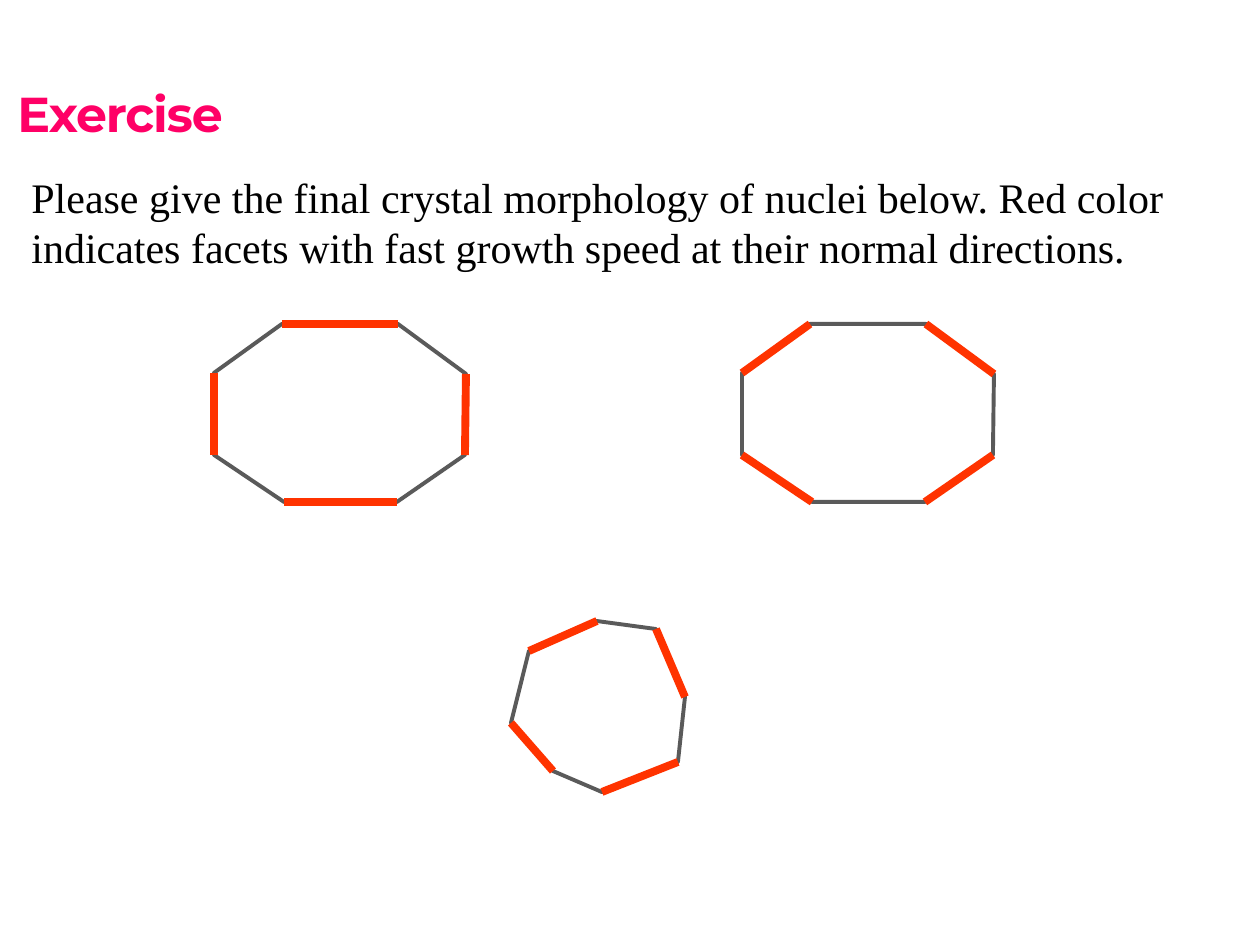
from pptx import Presentation
from pptx.dml.color import RGBColor
from pptx.enum.shapes import MSO_CONNECTOR as CONN
from pptx.enum.text import MSO_ANCHOR as ANCHOR
from pptx.oxml.ns import qn
from pptx.util import Pt
from lxml.etree import SubElement

PX = 914400 / 126
PINK = RGBColor(0xFF, 0x00, 0x66)
BLACK = RGBColor(0x00, 0x00, 0x00)
GREY = RGBColor(0x5A, 0x5A, 0x5A)
RED = RGBColor(0xFF, 0x33, 0x00)

OCTAGON = [(68, 0), (184, 0), (252, 50), (251, 131),
           (183, 178), (70, 178), (0, 131), (0, 49)]
IRREGULAR = [(18, 30), (86, 0), (145, 8), (174, 76),
             (167, 141), (91, 171), (42, 150), (0, 102)]


def px(n):
    """Turn pixels into EMU."""
    return round(n * PX)


def add_text(s, box, text, font, size, color, anchor=ANCHOR.TOP):
    """Place one wrapped paragraph in a box and return it."""
    tf = s.shapes.add_textbox(*map(px, box)).text_frame
    tf.word_wrap = True
    tf.vertical_anchor = anchor
    p = tf.paragraphs[0]
    p.text = text
    p.font.name = font
    p.font.size = Pt(size)
    p.font.color.rgb = color
    return p


def add_title(s, box, text):
    """Place the bold, slightly tightened slide title."""
    p = add_text(s, box, text, "Montserrat", 28, PINK, ANCHOR.BOTTOM)
    p.font.bold = True
    p.runs[0].font._element.set("spc", "-60")


def add_nucleus(shapes, left, top, corners, first_fast):
    """Draw a nucleus outline and mark every second facet as fast growing."""
    builder = shapes.build_freeform(*corners[0], scale=PX)
    builder.add_line_segments(corners[1:], close=True)
    sp = builder.convert_to_shape(px(left), px(top))
    sp.shadow.inherit = False
    sp.fill.background()
    sp.line.color.rgb = GREY
    sp.line.width = Pt(2.25)

    facets = list(zip(corners, corners[1:] + corners[:1]))
    for (x1, y1), (x2, y2) in facets[first_fast::2]:
        facet = shapes.add_connector(CONN.STRAIGHT, px(left + x1), px(top + y1),
                                     px(left + x2), px(top + y2))
        facet.line.color.rgb = RED
        facet.line.width = Pt(4.5)
        SubElement(facet._element.spPr, qn("a:effectLst"))


def main():
    """Build the exercise slide."""
    prs = Presentation()
    prs.slide_width, prs.slide_height = px(1260), px(945)
    s = prs.slides.add_slide(prs.slide_layouts[6])
    add_title(s, (5, 74, 843, 75), "Exercise")
    for left, first_fast in ((214, 0), (742, 1)):
        group = s.shapes.add_group_shape()
        add_nucleus(group.shapes, left, 324, OCTAGON, first_fast)
    add_text(s, (19, 165, 1215, 115),
             "Please give the final crystal morphology of nuclei below. Red color "
             "indicates facets with fast growth speed at their normal directions.",
             "Times New Roman", 24, BLACK)
    add_nucleus(s.shapes, 511, 621, IRREGULAR, 0)
    prs.save("out.pptx")


if __name__ == "__main__":
    main()
